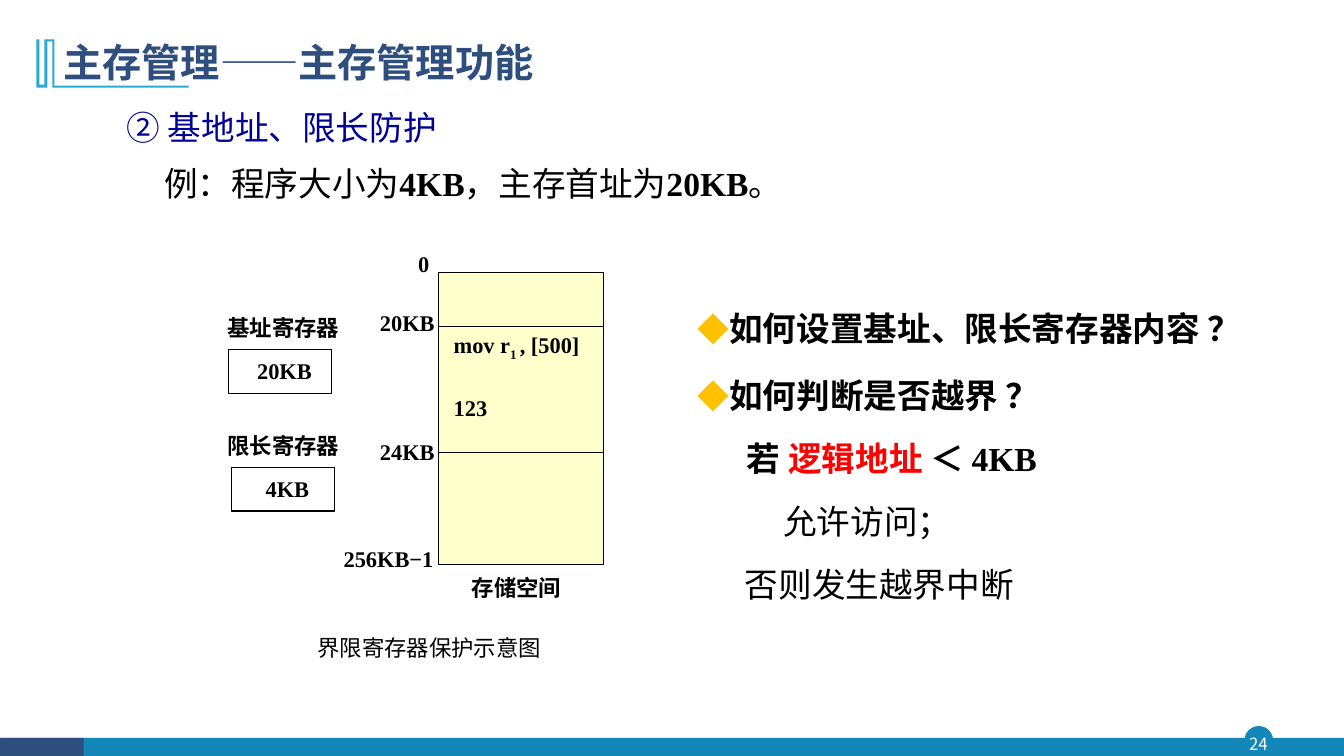
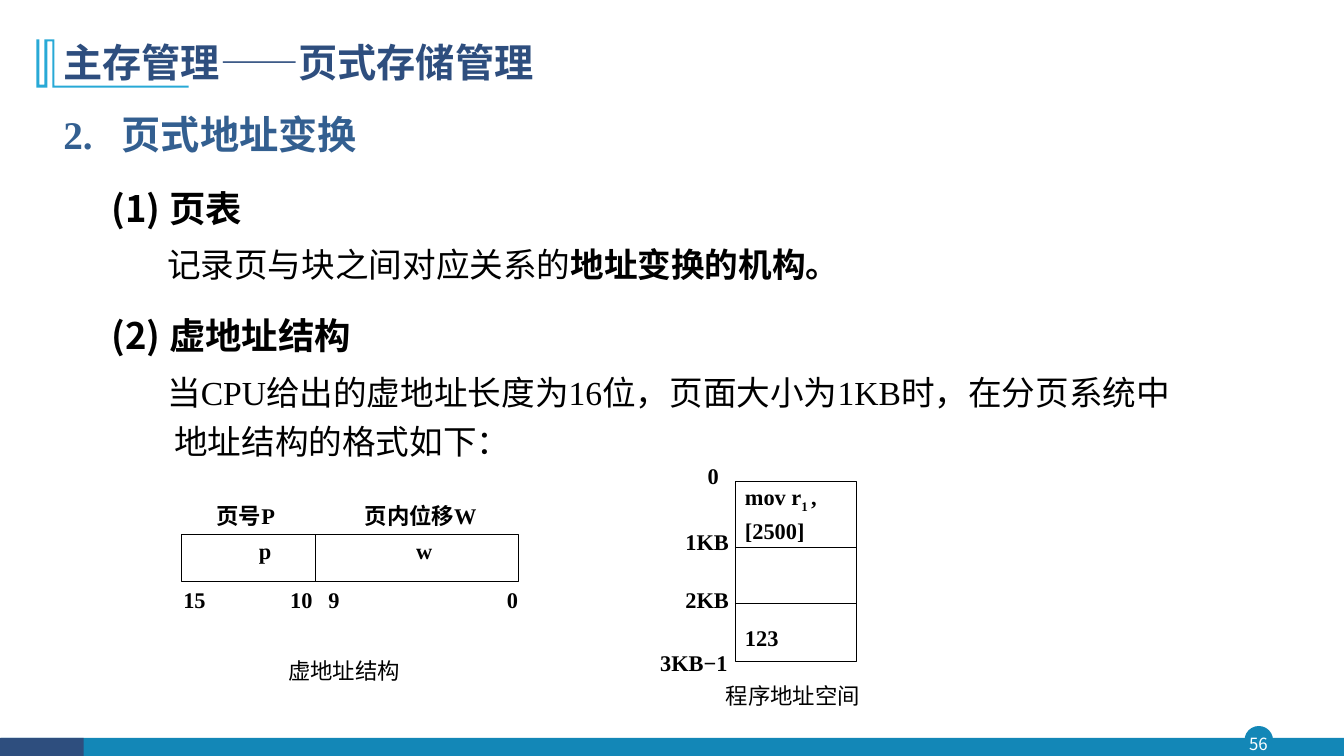
import pptx
import pptx.util
import pptx.dml.color
import pptx.enum.shapes
import pptx.enum.text
from lxml import etree
from pptx.oxml.ns import qn
from pptx.util import Inches, Pt

SANS = "Noto Sans CJK SC"
SERIF = "Times New Roman"
NAVY, TEAL, CYAN = "2E4E7E", "1387B7", "28A9D6"
BLACK, WHITE, RED = "000000", "FFFFFF", "FF0000"
SHAPE = pptx.enum.shapes.MSO_SHAPE
ALIGN = pptx.enum.text.PP_ALIGN
ANCHOR = pptx.enum.text.MSO_ANCHOR

# Corner ornament beside the title, in hundredths of an inch
ORNAMENT = [(54, 39), (54, 85), (187, 85), (187, 87), (52, 87), (52, 41),
            (47, 41), (47, 87), (36, 87), (36, 39), (39, 39), (39, 84),
            (44, 84), (44, 39)]


def rgb(color):
    return pptx.dml.color.RGBColor.from_string(color)


def paint(sp, fill=None, line=None, width=0.75):
    sp.shadow.inherit = False
    if fill:
        sp.fill.solid()
        sp.fill.fore_color.rgb = rgb(fill)
    else:
        sp.fill.background()
    if line:
        sp.line.color.rgb = rgb(line)
        sp.line.width = Pt(width)
    else:
        sp.line.fill.background()


def add_box(s, x, y, w, h, fill=None, line=None, kind=SHAPE.RECTANGLE, width=0.75):
    sp = s.shapes.add_shape(kind, Inches(x), Inches(y), Inches(w), Inches(h))
    paint(sp, fill, line, width)
    return sp


def add_line(s, x1, y1, x2, y2):
    cx = s.shapes.add_connector(pptx.enum.shapes.MSO_CONNECTOR.STRAIGHT,
                                Inches(x1), Inches(y1), Inches(x2), Inches(y2))
    cx.line.color.rgb = rgb(BLACK)
    cx.line.width = Pt(0.75)
    etree.SubElement(cx._element.spPr, qn("a:effectLst"))


def set_frame(tf, insets=(0.1, 0.05, 0.1, 0.05), anchor=ANCHOR.TOP):
    tf.word_wrap = True
    tf.auto_size = pptx.enum.text.MSO_AUTO_SIZE.NONE
    tf.vertical_anchor = anchor
    (tf.margin_left, tf.margin_top,
     tf.margin_right, tf.margin_bottom) = [Inches(i) for i in insets]
    return tf


def add_text(s, x, y, w, h):
    tb = s.shapes.add_textbox(Inches(x), Inches(y), Inches(w), Inches(h))
    return set_frame(tb.text_frame)


def add_run(p, text, size, font=SERIF, color=BLACK, bold=False, base=0):
    r = p.add_run()
    r.text = text
    r.font.size = Pt(size)
    r.font.bold = bold
    r.font.color.rgb = rgb(color)
    r.font.name = font
    rpr = r.font._element
    etree.SubElement(rpr, qn("a:ea")).set("typeface", SANS)
    if base:
        rpr.set("baseline", str(base * 1000))


def add_par(tf, runs, size, spacing, before=0, left=0, indent=0,
            align=ALIGN.LEFT, **style):
    """Add a paragraph; a run is a string, or a (string, style changes) pair."""
    first = tf.paragraphs[0]
    p = tf.add_paragraph() if first.runs else first
    p.alignment = align
    p.line_spacing = Pt(spacing)
    p.space_before = Pt(before)
    ppr = p._p.get_or_add_pPr()
    ppr.set("marL", str(Inches(left)))
    ppr.set("indent", str(Inches(indent)))
    for run in [runs] if isinstance(runs, str) else runs:
        text, changes = (run, {}) if isinstance(run, str) else run
        if text == "\n":
            p.add_line_break()
        else:
            add_run(p, text, size, **{**style, **changes})
    return p


def add_bullet(p, char, color):
    ppr = p._p.get_or_add_pPr()
    clr = etree.SubElement(ppr, qn("a:buClr"))
    etree.SubElement(clr, qn("a:srgbClr")).set("val", color)
    etree.SubElement(ppr, qn("a:buSzPct")).set("val", "95000")
    etree.SubElement(ppr, qn("a:buFont")).set("typeface", SANS)
    etree.SubElement(ppr, qn("a:buChar")).set("char", char)


def add_label(s, text, x, y, w, bold=True):
    add_par(add_text(s, x, y, w, 0.37), text, 16, 19, bold=bold)


def add_memory(s, x, y, w, h, dividers, insets, code, fill=None):
    """Draw a memory block; code lists (runs, space before) per line."""
    tf = set_frame(add_box(s, x, y, w, h, fill, BLACK).text_frame, insets)
    for runs, before in code:
        add_par(tf, runs, 16, 18, before, bold=True)
    for line_y in dividers:
        add_line(s, x, line_y, x + w, line_y)


def add_register(s, name, value, x, y):
    add_label(s, name, 2.16, y - 0.4, 1.46)
    sp = add_box(s, x, y, 1.02, 0.43, WHITE, BLACK)
    tf = set_frame(sp.text_frame, (0.18, 0.05, 0.1, 0.05), ANCHOR.MIDDLE)
    add_par(tf, value, 16, 18, align=ALIGN.CENTER, bold=True)


def add_slide(prs, topic, number):
    """Add a slide with the shared title, ornament and footer."""
    s = prs.slides.add_slide(prs.slide_layouts[5])
    add_box(s, 12.35, 7.21, 0.27, 0.27, TEAL, TEAL, SHAPE.OVAL, 1)
    add_box(s, 0.01, 7.32, 13.32, 0.19, TEAL)
    add_box(s, 0, 7.32, 0.83, 0.19, NAVY)
    tf = set_frame(add_text(s, 12.32, 7.21, 0.32, 0.31), (0, 0, 0, 0), ANCHOR.MIDDLE)
    add_par(tf, number, 12, 16, align=ALIGN.CENTER, font=SANS, color=WHITE)

    outline = s.shapes.build_freeform(*ORNAMENT[0], scale=Inches(0.01))
    outline.add_line_segments(ORNAMENT[1:], close=True)
    paint(outline.convert_to_shape(), CYAN)

    title = s.shapes.title
    title.left, title.top = Inches(0.53), Inches(0.34)
    title.width, title.height = Inches(10.49), Inches(0.56)
    add_par(set_frame(title.text_frame), ["主存管理", ("——", {"bold": False}), topic],
            28, 33, font=SANS, color=NAVY, bold=True)
    return s


def mov(address):
    return ["mov r", ("1 ", {"base": -25}), address]


def build_protection(prs):
    s = add_slide(prs, "主存管理功能", "24")
    strong = {"bold": True}
    tf = add_text(s, 0.53, 0.93, 9.16, 1.14)
    add_par(tf, "② 基地址、限长防护", 24, 35, left=0.63, color="000099")
    add_par(tf, ["例：程序大小为", ("4KB", strong), "，主存首址为", ("20KB", strong), "。"],
            24, 35, 4.8, left=1)

    tf = add_text(s, 6.19, 2.79, 6.34, 3.32)
    for question in ("如何设置基址、限长寄存器内容 ？", "如何判断是否越界 ？"):
        p = add_par(tf, question, 24, 44, 4, 0.88, -0.25, font=SANS, bold=True)
        add_bullet(p, "◆", "FFC000")
    add_par(tf, ["若 ", ("逻辑地址 ", {"color": RED}), "＜ 4KB"],
            24, 38, 7, left=1.12, bold=True)
    add_par(tf, "允许访问；", 24, 38, 7, left=1.48)
    add_par(tf, "否则发生越界中断", 24, 38, 7, left=1.1)

    add_memory(s, 4.35, 2.7, 1.64, 2.9, (3.24, 4.49), (0.15, 0.64, 0, 0.05),
               [(mov(", [500]"), 0), ("123", 24)], "FFFFCC")
    for text, x, y, w in (("0", 4.05, 2.44, 0.3), ("20KB", 3.67, 3.02, 0.88),
                          ("24KB", 3.67, 4.3, 0.9), ("256KB−1", 3.31, 5.36, 1.19),
                          ("存储空间", 4.58, 5.65, 1.15)):
        add_label(s, text, x, y, w)
    add_register(s, "基址寄存器", "20KB", 2.27, 3.47)
    add_register(s, "限长寄存器", "4KB", 2.3, 4.64)
    add_label(s, "界限寄存器保护示意图", 3.05, 6.24, 2.68, bold=False)


def build_paging(prs):
    s = add_slide(prs, "页式存储管理", "56")
    heading = {"size": 26, "spacing": 47, "before": 5, "left": 0.48,
               "font": SANS, "bold": True}
    body = {"size": 24, "spacing": 35, "before": 4, "left": 1.1, "indent": -0.07}
    tf = add_text(s, 0.53, 0.94, 11.87, 3.87)
    add_par(tf, "2.\t页式地址变换", 28, 41, left=0.58, indent=-0.58,
            color="335F90", bold=True)
    add_par(tf, "(1) 页表", **heading)
    add_par(tf, ["记录页与块之间对应关系的", ("地址变换的机构。", {"bold": True})], **body)
    add_par(tf, "(2) 虚地址结构", **heading)
    add_par(tf, ["当CPU给出的虚地址长度为16位，页面大小为1KB时，在分页系统中", "\n",
                 "地址结构的格式如下："], **body)

    add_box(s, 1.8, 5.3, 3.34, 0.47, line=BLACK)
    add_line(s, 3.13, 5.3, 3.13, 5.77)
    for text, x, y, w in (("页号P", 2.05, 4.94, 0.9), ("页内位移W", 3.52, 4.94, 1.47),
                          ("p", 2.47, 5.28, 0.4), ("w", 4.03, 5.28, 0.4),
                          ("15", 1.72, 5.77, 0.5), ("10", 2.78, 5.77, 0.5),
                          ("9", 3.16, 5.77, 0.4), ("0", 4.93, 5.77, 0.4)):
        add_label(s, text, x, y, w)
    add_label(s, "虚地址结构", 2.76, 6.47, 1.44, bold=False)

    add_memory(s, 7.29, 4.78, 1.21, 1.78, (5.43, 5.99), (0.1, 0.07, 0, 0.05),
               [(mov(","), 0), ("[2500]", 3), ("123", 59)])
    for text, x, y, w in (("0", 6.92, 4.54, 0.35), ("1KB", 6.7, 5.19, 0.76),
                          ("2KB", 6.7, 5.77, 0.76), ("3KB−1", 6.45, 6.39, 0.9)):
        add_label(s, text, x, y, w)
    add_label(s, "程序地址空间", 7.1, 6.72, 1.73, bold=False)


def main():
    prs = pptx.Presentation()
    prs.slide_width, prs.slide_height = Inches(13.33), Inches(7.5)
    build_protection(prs)
    build_paging(prs)
    prs.save("out.pptx")


if __name__ == "__main__":
    main()
